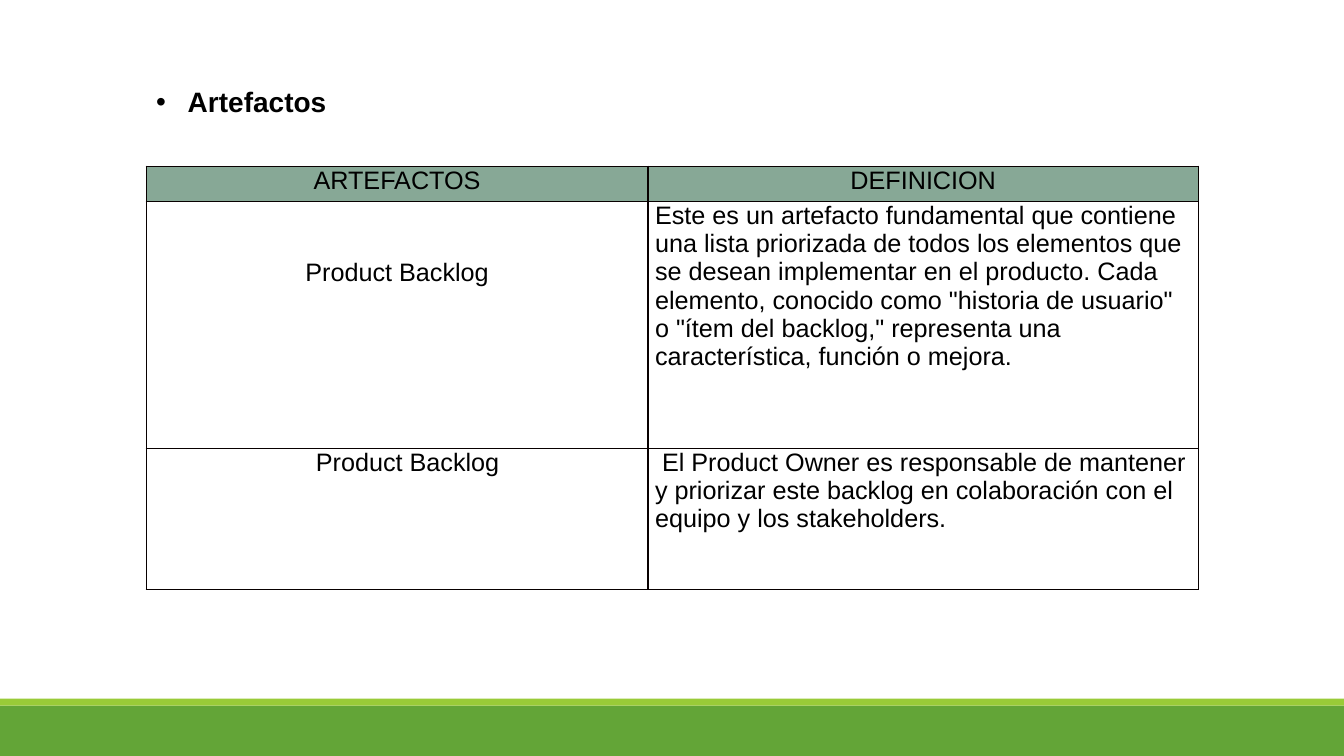
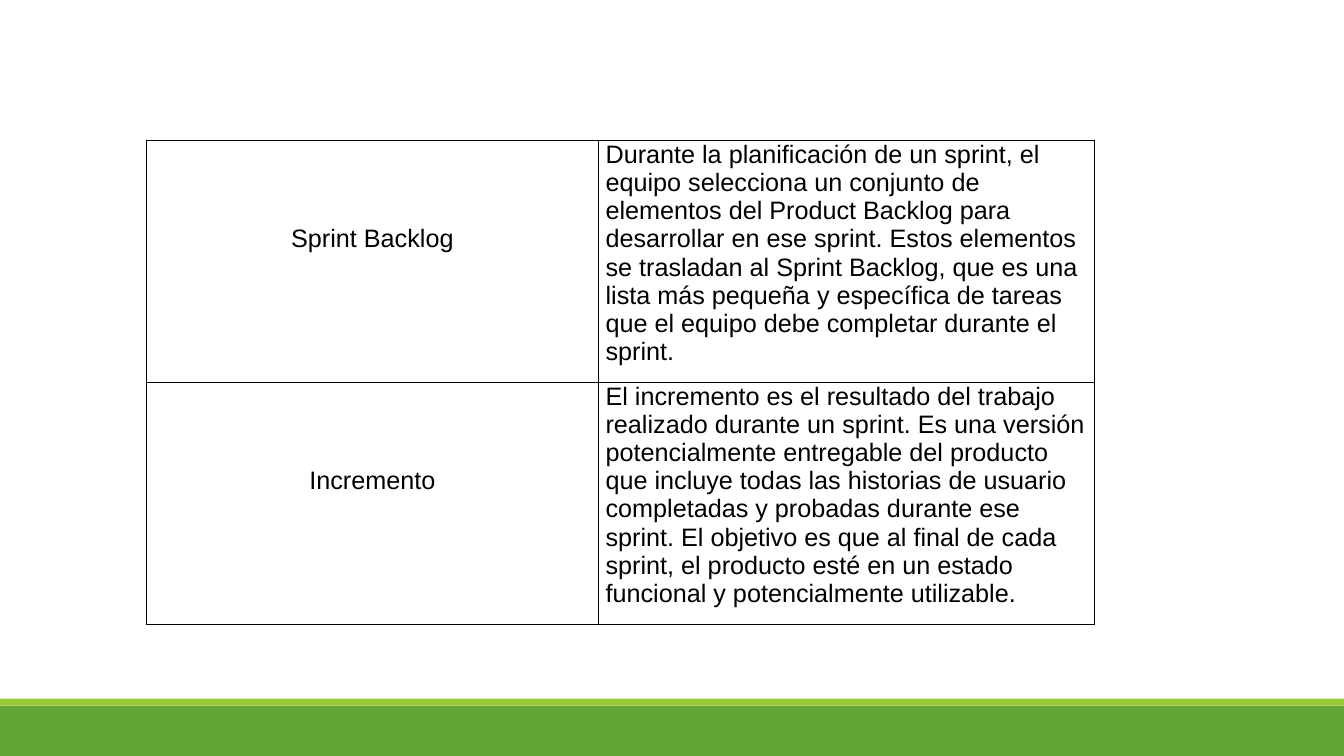
"""Builds two slides with tables of Scrum artefacts above a green footer."""
from lxml import etree
from pptx import Presentation
from pptx.dml.color import RGBColor
from pptx.enum import shapes, text
from pptx.oxml import ns
from pptx.util import Pt

GREEN = RGBColor(0x63, 0xA5, 0x37)
LIME = RGBColor(0x99, 0xCB, 0x38)
SAGE = RGBColor(0x87, 0xA8, 0x96)
EDGE = RGBColor(0x08, 0x00, 0x00)
BLACK = RGBColor(0, 0, 0)
WIDE, HIGH, LEFT = 960, 540, 104.4
BANDS = [(504, 36, GREEN), (499, 5, LIME)]


def style(para, size, bold=False):
    look = {"name": "Arial", "size": Pt(size), "bold": bold}
    for key, value in look.items():
        setattr(para.font, key, value)
    para.font.color.rgb = BLACK


def border(cell):
    props = cell._tc.get_or_add_tcPr()
    for spot, side in enumerate(("lnL", "lnR", "lnT", "lnB")):
        line = etree.Element(ns.qn("a:" + side), w=str(Pt(1)))
        fill = etree.SubElement(line, ns.qn("a:solidFill"))
        etree.SubElement(fill, ns.qn("a:srgbClr"), val=str(EDGE))
        props.insert(spot, line)


# Each row: height, name, definition, drop of the name, indent of the name
PAGES = [
    {"title": "Artefactos", "top": 118.8, "cols": (358.5, 393.2), "rows": [
        (25.2, "ARTEFACTOS", "DEFINICION", 0, 0),
        (176.4, "Product Backlog",
         "Este es un artefacto fundamental que contiene una lista priorizada "
         "de todos los elementos que se desean implementar en el producto. "
         "Cada elemento, conocido como \"historia de usuario\" o \"ítem del "
         "backlog,\" representa una característica, función o mejora.", 40.4, 0),
        (100.8, "Product Backlog",
         " El Product Owner es responsable de mantener y priorizar este "
         "backlog en colaboración con el equipo y los stakeholders.", 0, 15)]},
    {"title": None, "top": 100.2, "cols": (323.2, 354.3), "rows": [
        (172.8, "Sprint Backlog",
         "Durante la planificación de un sprint, el equipo selecciona un "
         "conjunto de elementos del Product Backlog para desarrollar en ese "
         "sprint. Estos elementos se trasladan al Sprint Backlog, que es una "
         "lista más pequeña y específica de tareas que el equipo debe "
         "completar durante el sprint.", 60.6, 0),
        (172.8, "Incremento",
         "El incremento es el resultado del trabajo realizado durante un "
         "sprint. Es una versión potencialmente entregable del producto que "
         "incluye todas las historias de usuario completadas y probadas "
         "durante ese sprint. El objetivo es que al final de cada sprint, el "
         "producto esté en un estado funcional y potencialmente utilizable.",
         60.6, 0)]},
]

deck = Presentation()
deck.slide_width, deck.slide_height = Pt(WIDE), Pt(HIGH)

for page in PAGES:
    slide = deck.slides.add_slide(deck.slide_layouts[5 if page["title"] else 6])
    for top, tall, color in BANDS:
        band = slide.shapes.add_shape(shapes.MSO_SHAPE.RECTANGLE,
                                      0, Pt(top), Pt(WIDE), Pt(tall))
        band.shadow.inherit = False
        band.fill.solid()
        band.fill.fore_color.rgb = color
        band.line.fill.background()

    if page["title"]:
        head = slide.shapes.title
        place = {"left": LEFT, "top": 56.9, "width": 751.7, "height": 31.7}
        for key, value in place.items():
            setattr(head, key, Pt(value))
        head.text_frame.text = page["title"]
        head.text_frame.vertical_anchor = text.MSO_ANCHOR.TOP
        para = head.text_frame.paragraphs[0]
        para.alignment = text.PP_ALIGN.LEFT
        style(para, 20, True)
        props = para._p.get_or_add_pPr()
        props.set("marL", str(Pt(22.5)))
        props.set("indent", str(Pt(-22.5)))
        font = etree.Element(ns.qn("a:buFont"), typeface="Arial")
        dot = etree.Element(ns.qn("a:buChar"), char="•")
        props.insert(0, font)
        props.insert(1, dot)

    rows, cols = page["rows"], page["cols"]
    table = slide.shapes.add_table(
        len(rows), len(cols), Pt(LEFT), Pt(page["top"]), Pt(sum(cols)),
        Pt(sum(row[0] for row in rows))).table
    table.first_row = table.horz_banding = False
    for col, width in zip(table.columns, cols):
        col.width = Pt(width)
    for r, (tall, name, words, drop, inset) in enumerate(rows):
        table.rows[r].height = Pt(tall)
        header = name == "ARTEFACTOS"
        for c, label in enumerate((name, words)):
            cell = table.cell(r, c)
            cell.text = label
            cell.margin_left = Pt(5 + (0 if c else inset))
            cell.margin_right = Pt(5)
            cell.margin_top = Pt(0 if c else drop)
            cell.margin_bottom = 0
            para = cell.text_frame.paragraphs[0]
            style(para, 18)
            if header or c == 0:
                para.alignment = text.PP_ALIGN.CENTER
            if header:
                cell.fill.solid()
                cell.fill.fore_color.rgb = SAGE
            else:
                cell.fill.background()
            border(cell)

deck.save("out.pptx")
